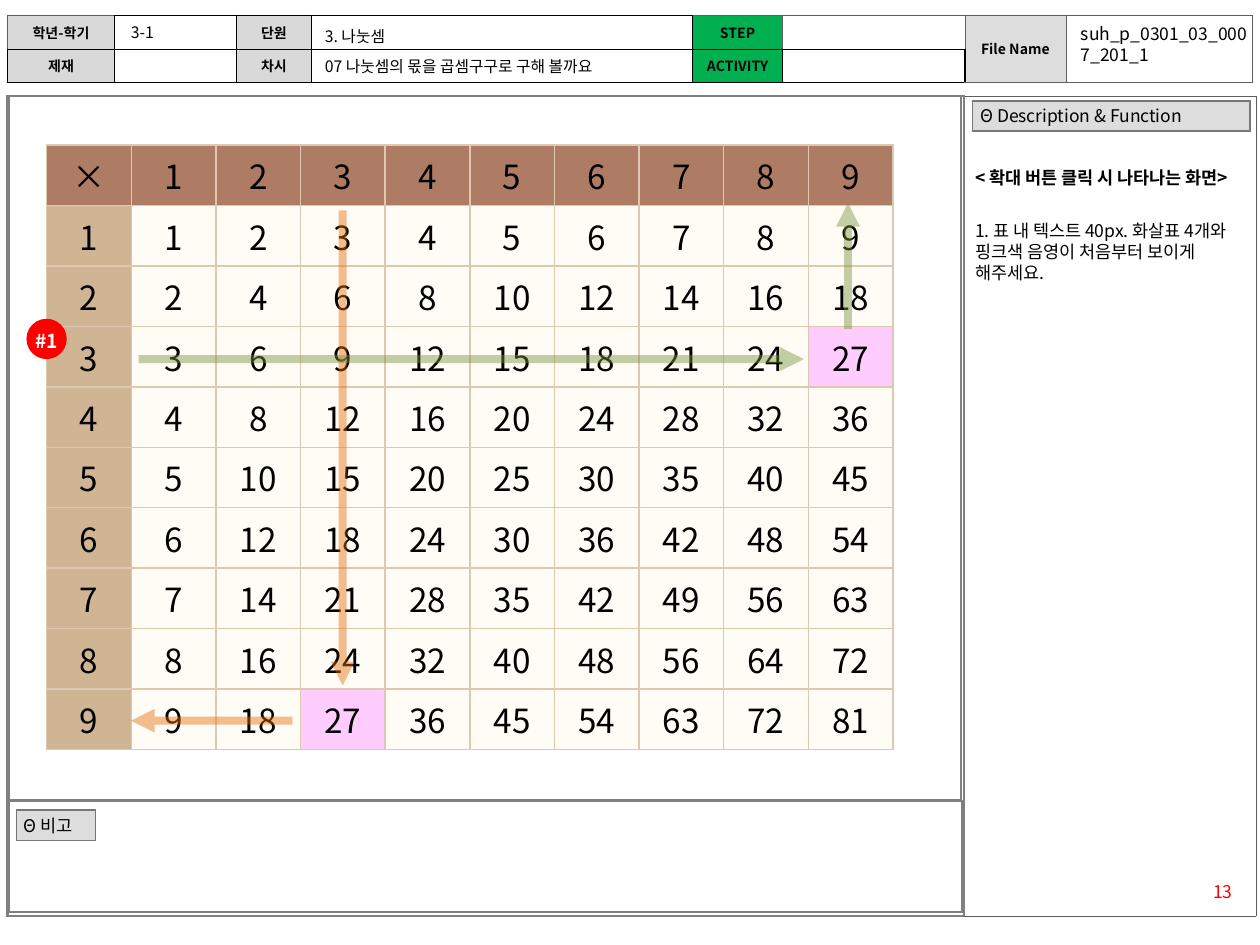
from dataclasses import dataclass
from typing import Optional

from lxml.etree import SubElement
from pptx import Presentation
from pptx.dml.color import RGBColor
from pptx.enum.shapes import MSO_CONNECTOR, MSO_SHAPE
from pptx.enum.text import MSO_ANCHOR, PP_ALIGN
from pptx.oxml.ns import qn
from pptx.util import Inches, Pt


@dataclass(frozen=True)
class Theme:
    font: str = "Noto Sans CJK KR"
    black: str = "000000"
    white: str = "FFFFFF"
    red: str = "FF0000"
    frame: str = "808080"
    thin: str = "5F5F5F"
    label_line: str = "777777"
    label_fill: str = "DDDDDD"
    header_fill: str = "D9D9D9"
    step_fill: str = "00B050"
    grid_line: str = "DDC9B1"
    grid_top: str = "AE7C65"
    grid_side: str = "D0B594"
    grid_body: str = "FFFBF5"
    highlight: str = "FFCCFF"
    orange: str = "E46C0A"
    green: str = "77933C"
    header_size: float = 8
    entry_size: float = 9
    body_size: float = 10
    badge_size: float = 11
    grid_size: float = 19


@dataclass(frozen=True)
class Border:
    color: str
    width: float


@dataclass(frozen=True)
class Arrow:
    start: tuple[float, float]
    end: tuple[float, float]
    color: str


@dataclass(frozen=True)
class TextItem:
    text: str
    box: tuple[float, float, float, float]
    size: float
    color: str = "000000"
    align: PP_ALIGN = PP_ALIGN.LEFT


THEME = Theme()
FRAME = Border(THEME.frame, 1.5)
THIN = Border(THEME.thin, 0.25)
DARK = Border(THEME.black, 0.75)
LABEL = Border(THEME.label_line, 1)
GRID = Border(THEME.grid_line, 1)


def rgb(color: str) -> RGBColor:
    return RGBColor.from_string(color)


def write(paragraph, text: str, *, size: float, color: str = THEME.black, bold: bool = False,
          align: PP_ALIGN = PP_ALIGN.LEFT, spacing: Optional[float] = None, before: float = 0) -> None:
    paragraph.alignment = align
    if spacing:
        paragraph.line_spacing = spacing
    if before:
        paragraph.space_before = Pt(before)
    run = paragraph.add_run()
    run.text = text
    run.font.size, run.font.bold, run.font.name = Pt(size), bold, THEME.font
    run.font.color.rgb = rgb(color)
    SubElement(run.font._element, qn("a:ea"), typeface=THEME.font)


def add_text_box(slide, box: tuple[float, float, float, float]):
    frame = slide.shapes.add_textbox(*map(Inches, box)).text_frame
    frame.word_wrap = True
    return frame


def add_plain_table(slide, left: float, top: float, widths: list[float], heights: list[float]):
    shape = slide.shapes.add_table(len(heights), len(widths), Inches(left), Inches(top),
                                   Inches(sum(widths)), Inches(sum(heights)))
    table = shape.table
    table.first_row = table.horz_banding = False
    for column, width in zip(table.columns, widths):
        column.width = Inches(width)
    for row, height in zip(table.rows, heights):
        row.height = Inches(height)
    return table


def style_cell(cell, border: Border, fill: Optional[str] = None, text: str = "",
               margins: tuple[float, float] = (0.1, 0.05), **text_format) -> None:
    properties = cell._tc.get_or_add_tcPr()
    for side in ("lnL", "lnR", "lnT", "lnB"):
        line = SubElement(properties, qn(f"a:{side}"), w=str(Pt(border.width)))
        SubElement(SubElement(line, qn("a:solidFill")), qn("a:srgbClr"), val=border.color)
    if fill:
        cell.fill.solid()
        cell.fill.fore_color.rgb = rgb(fill)
    else:
        cell.fill.background()
    cell.vertical_anchor = MSO_ANCHOR.MIDDLE
    cell.margin_left = cell.margin_right = Inches(margins[0])
    cell.margin_top = cell.margin_bottom = Inches(margins[1])
    paragraph = cell.text_frame.paragraphs[0]
    if text:
        write(paragraph, text, **text_format)
    else:
        SubElement(paragraph._p, qn("a:endParaRPr"), sz=str(int(THEME.header_size * 100)))


def add_label(slide, text: str, left: float, top: float, width: float, height: float) -> None:
    table = add_plain_table(slide, left, top, [width], [height])
    style_cell(table.cell(0, 0), LABEL, THEME.label_fill, text, margins=(0.06, 0.03),
               size=THEME.body_size, spacing=0.9)


def add_header(slide) -> None:
    table = add_plain_table(slide, 0.06, 0.12, [0.85, 0.97, 0.59, 3.03, 0.71, 1.45, 0.8, 1.48], [0.27, 0.25])
    labels = {(0, 0): "학년-학기", (0, 2): "단원", (0, 4): "STEP", (0, 6): "File Name",
              (1, 0): "제재", (1, 2): "차시", (1, 4): "ACTIVITY"}
    fills = {0: THEME.header_fill, 2: THEME.header_fill, 4: THEME.step_fill, 6: THEME.label_fill}
    for row in range(2):
        for column in range(8):
            grey = column >= 6 or row == 0 and column in (0, 4, 5)
            style_cell(table.cell(row, column), THIN if grey else DARK, fills.get(column),
                       labels.get((row, column), ""), size=THEME.header_size, bold=True,
                       align=PP_ALIGN.CENTER)
    for column in (6, 7):
        table.cell(0, column).merge(table.cell(1, column))


def add_times_table(slide) -> None:
    table = add_plain_table(slide, 0.37, 1.15, [6.72 / 10] * 10, [0.48] * 10)
    for row in range(10):
        for column in range(10):
            if row == 0:
                fill, text = THEME.grid_top, str(column or "×")
            elif column == 0:
                fill, text = THEME.grid_side, str(row)
            else:
                marked = (row, column) in ((3, 9), (9, 3))
                fill, text = THEME.highlight if marked else THEME.grid_body, str(row * column)
            style_cell(table.cell(row, column), GRID, fill, text, size=THEME.grid_size,
                       align=PP_ALIGN.CENTER)


def add_arrow(slide, arrow: Arrow) -> None:
    connector = slide.shapes.add_connector(MSO_CONNECTOR.STRAIGHT, *map(Inches, arrow.start + arrow.end))
    connector.line.width = Pt(4.5)
    connector.line.color.rgb = rgb(arrow.color)
    line = connector.line._get_or_add_ln()
    SubElement(line.find(".//" + qn("a:srgbClr")), qn("a:alpha"), val="43000")
    SubElement(line, qn("a:tailEnd"), type="triangle")
    SubElement(connector._element.spPr, qn("a:effectLst"))


def add_filled_shape(slide, kind: MSO_SHAPE, box: tuple[float, float, float, float], fill: str,
                     border: Optional[Border] = None):
    shape = slide.shapes.add_shape(kind, *map(Inches, box))
    shape.shadow.inherit = False
    shape.fill.solid()
    shape.fill.fore_color.rgb = rgb(fill)
    if border:
        shape.line.color.rgb = rgb(border.color)
        shape.line.width = Pt(border.width)
    else:
        shape.line.fill.background()
    return shape


def main() -> None:
    presentation = Presentation()
    presentation.slide_width, presentation.slide_height = Inches(10), Inches(7.5)
    slide = presentation.slides.add_slide(presentation.slide_layouts[6])

    # Page frame, header and notes area
    frame = add_plain_table(slide, 0.06, 0.76, [7.59, 2.32], [6.51])
    style_cell(frame.cell(0, 0), FRAME)
    style_cell(frame.cell(0, 1), THIN)
    add_header(slide)
    notes = add_plain_table(slide, 0.07, 6.36, [7.57], [0.88])
    style_cell(notes.cell(0, 0), FRAME)
    add_label(slide, "Θ 비고", 0.13, 6.43, 0.63, 0.2)
    add_filled_shape(slide, MSO_SHAPE.RECTANGLE, (0.07, 0.76, 7.56, 5.59), THEME.white, Border(THEME.frame, 1))

    # Description column
    add_label(slide, "Θ Description & Function", 7.72, 0.8, 2.2, 0.21)
    description = add_text_box(slide, (7.64, 1.28, 2.36, 1.2))
    write(description.paragraphs[0], "< 확대 버튼 클릭 시 나타나는 화면>", size=THEME.body_size, bold=True)
    write(description.add_paragraph(), "1. 표 내 텍스트 40px. 화살표 4개와 핑크색 음영이 처음부터 보이게 해주세요.",
          size=THEME.body_size, before=18)

    # Header entries and page number
    for item in (
        TextItem("suh_p_0301_03_0007_201_1", (8.48, 0.13, 1.52, 0.44), THEME.body_size, align=PP_ALIGN.JUSTIFY),
        TextItem("3-1", (0.94, 0.13, 0.94, 0.24), THEME.entry_size),
        TextItem("3. 나눗셈", (2.48, 0.16, 3.03, 0.16), THEME.entry_size),
        TextItem("07 나눗셈의 몫을 곱셈구구로 구해 볼까요", (2.48, 0.4, 2.99, 0.24), THEME.entry_size),
        TextItem("13", (9.21, 6.94, 0.67, 0.27), THEME.body_size, THEME.red, PP_ALIGN.RIGHT),
    ):
        write(add_text_box(slide, item.box).paragraphs[0], item.text, size=item.size,
              color=item.color, align=item.align)

    # Times table with its arrows
    add_times_table(slide)
    for arrow in (
        Arrow((2.72, 1.67), (2.72, 5.44), THEME.orange),
        Arrow((2.32, 5.72), (1.04, 5.72), THEME.orange),
        Arrow((1.1, 2.85), (6.38, 2.85), THEME.green),
        Arrow((6.73, 2.61), (6.73, 1.61), THEME.green),
    ):
        add_arrow(slide, arrow)

    # Numbered badge
    badge = add_filled_shape(slide, MSO_SHAPE.OVAL, (0.21, 2.53, 0.32, 0.32), THEME.red).text_frame
    badge.margin_left = badge.margin_right = badge.margin_top = badge.margin_bottom = 0
    badge.vertical_anchor = MSO_ANCHOR.MIDDLE
    write(badge.paragraphs[0], "#1", size=THEME.badge_size, color=THEME.white, bold=True,
          align=PP_ALIGN.CENTER, spacing=1.2)

    presentation.save("out.pptx")


if __name__ == "__main__":
    main()
